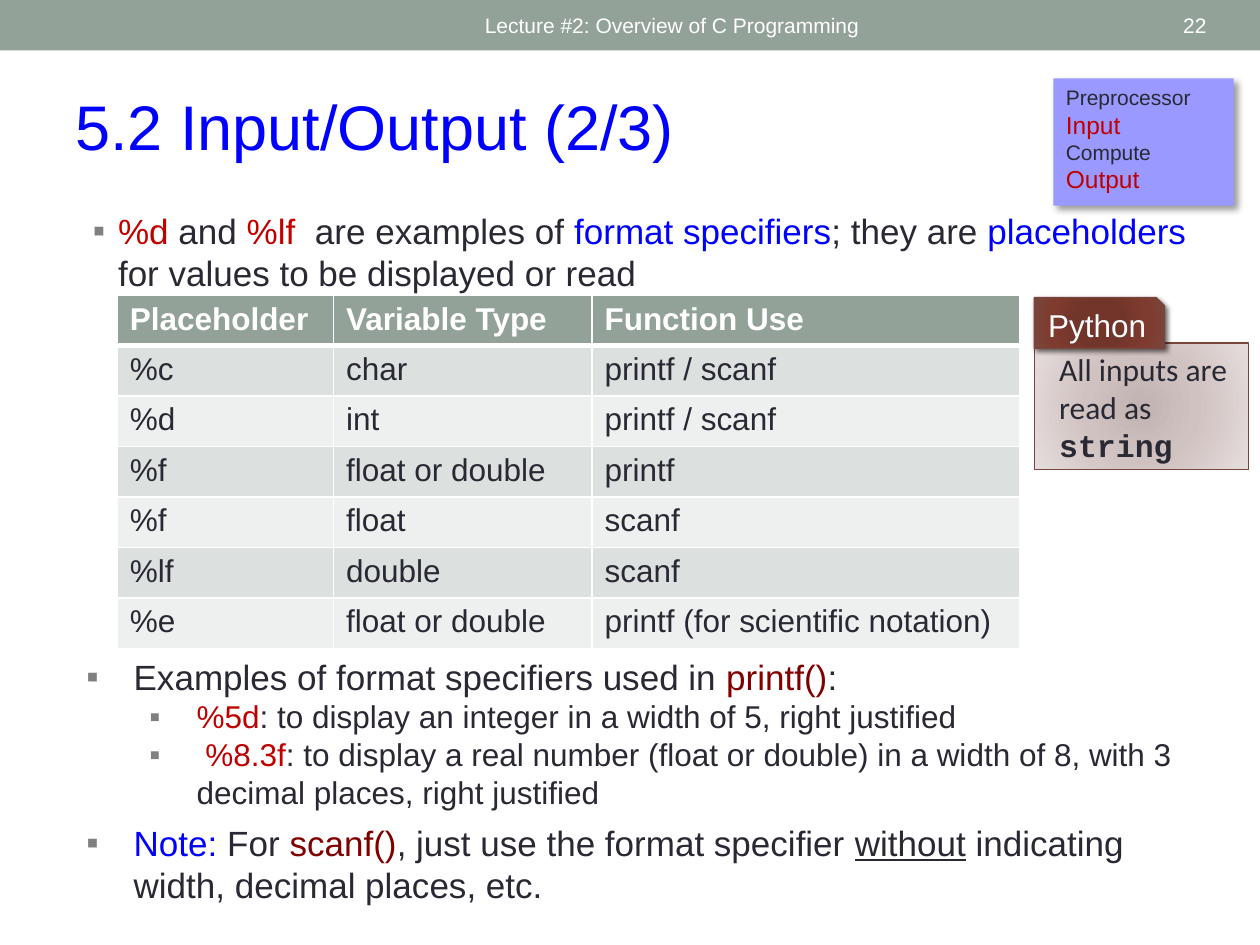
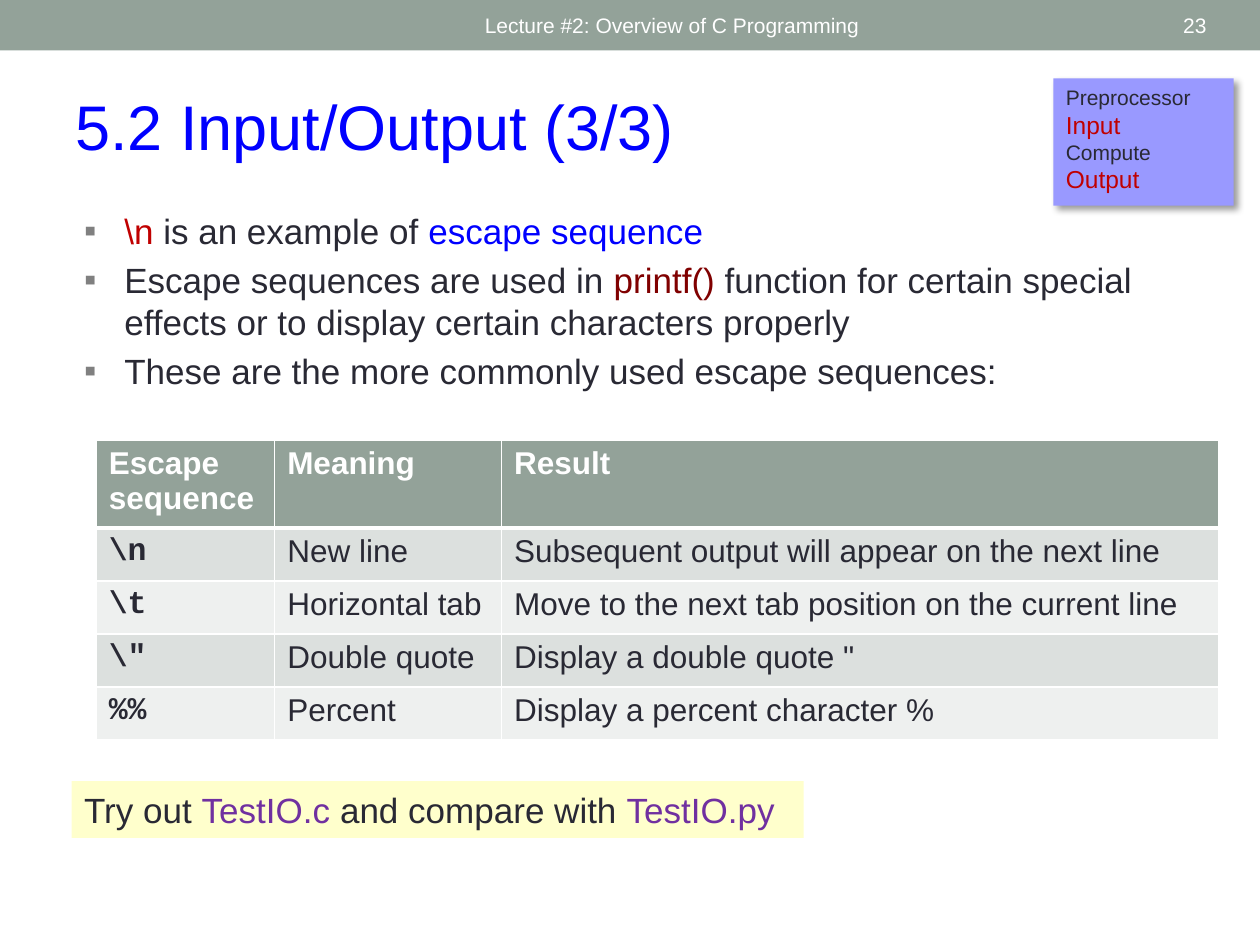
import pptx
import pptx.dml.color
import pptx.enum.shapes
import pptx.enum.text
import pptx.oxml
import pptx.oxml.ns
import pptx.util

Pt = pptx.util.Pt
SHAPE = pptx.enum.shapes.MSO_SHAPE
ANCHOR = pptx.enum.text.MSO_ANCHOR
ALIGN = pptx.enum.text.PP_ALIGN

SAGE, WHITE, INK, BLUE = "93A299", "FFFFFF", "292934", "0000FF"
RED, MAROON, PURPLE, BROWN = "C00000", "800000", "7030A0", "79463D"
BANDS = ["DCE0DE", "EEF0EF"]
SANS, MONO = "Arial", "Courier New"


def color(hex_code):
    return pptx.dml.color.RGBColor.from_string(hex_code)


def xml(markup):
    head, tail = markup.split(">", 1) if "/>" not in markup.split(">", 1)[0] + ">" else (markup[:-2], "")
    if not tail:
        return pptx.oxml.parse_xml(f"{head} {pptx.oxml.ns.nsdecls('a')}/>")
    return pptx.oxml.parse_xml(f"{head} {pptx.oxml.ns.nsdecls('a')}>{tail}")


def write(para, spans, size, font=SANS, bold=None):
    para.font.size, para.font.name, para.font.bold = Pt(size), font, bold
    for text, hex_code, *style in spans:
        span = para.add_run()
        span.text = text
        span.font.color.rgb = color(hex_code)
        if "mono" in style:
            span.font.name, span.font.bold = MONO, True
        if "underline" in style:
            span.font.underline = True


def set_bullet(para, left, hanging):
    props = para._p.get_or_add_pPr()
    props.set("marL", str(Pt(left)))
    props.set("indent", str(-Pt(hanging)))
    props.append(xml('<a:buClr><a:srgbClr val="808080"/></a:buClr>'))
    props.append(xml('<a:buFont typeface="Arial"/>'))
    props.append(xml('<a:buChar char="▪"/>'))


def paragraphs(frame, count):
    return [frame.paragraphs[0]] + [frame.add_paragraph() for _ in range(count - 1)]


def add_text(page, at, spans, size, anchor=ANCHOR.TOP, align=ALIGN.LEFT):
    box = page.shapes.add_textbox(*map(Pt, at))
    frame = box.text_frame
    frame.word_wrap, frame.vertical_anchor = True, anchor
    frame.paragraphs[0].alignment = align
    write(frame.paragraphs[0], spans, size)


def add_bullets(page, at, items):
    frame = page.shapes.add_textbox(*map(Pt, at)).text_frame
    frame.word_wrap = True
    for para, (size, before, left, hanging, spans) in zip(paragraphs(frame, len(items)), items):
        para.space_before = Pt(before)
        set_bullet(para, left, hanging)
        write(para, spans, size)


def add_panel(page, at, fill, lines, kind=SHAPE.RECTANGLE, anchor=ANCHOR.TOP, align=ALIGN.LEFT, font=SANS):
    panel = page.shapes.add_shape(kind, *map(Pt, at))
    panel.shadow.inherit = False
    panel.fill.solid()
    panel.fill.fore_color.rgb = color(fill)
    panel.line.fill.background()
    frame = panel.text_frame
    frame.word_wrap, frame.vertical_anchor = True, anchor
    for para, (size, spans) in zip(paragraphs(frame, len(lines)), lines):
        para.alignment = align
        write(para, spans, size, font)
    return panel


def add_shadow(panel, alpha, blur, distance):
    panel._element.spPr.find(pptx.oxml.ns.qn("a:effectLst")).append(xml(
        f'<a:outerShdw blurRad="{Pt(blur)}" dist="{Pt(distance)}" dir="2700000" algn="tl" rotWithShape="0">'
        f'<a:srgbClr val="000000"><a:alpha val="{alpha * 1000}"/></a:srgbClr></a:outerShdw>'))


def add_glow(panel, stops):
    marks = "".join(f'<a:gs pos="{place * 1000}"><a:srgbClr val="{shade}"/></a:gs>' for place, shade in stops)
    gradient = xml(f'<a:gradFill><a:gsLst>{marks}</a:gsLst><a:path path="circle">'
                   '<a:fillToRect l="100000" t="100000" r="100000" b="100000"/></a:path></a:gradFill>')
    props = panel._element.spPr
    props.replace(props.find(pptx.oxml.ns.qn("a:solidFill")), gradient)
    panel.line.color.rgb = color(BROWN)
    panel.line.width = Pt(0.75)


def set_borders(cell, top, bottom):
    props = cell._tc.get_or_add_tcPr()
    for place, (side, width) in enumerate([("L", 1), ("R", 1), ("T", top), ("B", bottom)]):
        props.insert(place, xml(f'<a:ln{side} w="{Pt(width)}"><a:solidFill><a:srgbClr val="{WHITE}"/>'
                                f'</a:solidFill></a:ln{side}>'))


def add_grid(page, left, top, widths, heights, rows, code_column=False):
    frame = page.shapes.add_table(len(rows), len(widths), Pt(left), Pt(top), Pt(sum(widths)), Pt(sum(heights)))
    table = frame.table
    for column, width in zip(table.columns, widths):
        column.width = Pt(width)
    for number, (row, height, texts) in enumerate(zip(table.rows, heights, rows)):
        row.height = Pt(height)
        header = number == 0
        for place, (cell, text) in enumerate(zip(row.cells, texts)):
            cell.fill.solid()
            cell.fill.fore_color.rgb = color(SAGE if header else BANDS[(number - 1) % 2])
            set_borders(cell, 3 if number == 1 else 1, 3 if header else 1)
            code = code_column and place == 0 and not header
            write(cell.text_frame.paragraphs[0], [(text, WHITE if header else INK)], 18,
                  MONO if code else SANS, header or code)


def add_page(deck, number, title):
    page = deck.slides.add_slide(deck.slide_layouts[6])
    add_panel(page, (0, 0, 720, 28.8), SAGE, [])
    add_text(page, (270, 1.5, 324, 26), [("Lecture #2: Overview of C Programming", WHITE)], 12, ANCHOR.MIDDLE)
    add_text(page, (36, 46, 669, 51), [(title, BLUE)], 36, ANCHOR.BOTTOM)
    add_text(page, (628, 1.5, 68.5, 26), [(str(number), WHITE)], 12, ANCHOR.MIDDLE, ALIGN.RIGHT)
    steps = [(12, INK, "Preprocessor"), (14, RED, "Input"), (12, INK, "Compute"), (14, RED, "Output")]
    panel = add_panel(page, (602, 44.8, 103, 72.7), "9999FF",
                      [(size, [(text, shade)]) for size, shade, text in steps])
    add_shadow(panel, 40, 4, 3)
    return page


def add_python_note(page):
    note = add_panel(page, (591, 196, 122.5, 72.5), "D0C2C0",
                     [(18, [("All inputs are read as ", INK), ("string", INK, "mono")])],
                     anchor=ANCHOR.BOTTOM, font="Calibri")
    note.text_frame.paragraphs[0]._p.get_or_add_pPr().set("marL", str(Pt(7.2)))
    add_glow(note, [(0, "C0B3B1"), (45, "D0C2C0"), (100, "E5DEDD")])
    tab = add_panel(page, (591, 170, 74.5, 29), BROWN, [(18, [("Python", WHITE)])],
                    SHAPE.SNIP_1_RECTANGLE, ANCHOR.MIDDLE, ALIGN.CENTER)
    add_glow(tab, [(0, "743327"), (34, "72352A"), (70, "7F3B2F"), (100, BROWN)])
    add_shadow(tab, 60, 3, 2)


def build_placeholders(deck):
    page = add_page(deck, 22, "5.2 Input/Output (2/3)")
    add_bullets(page, (46, 116, 648, 56), [
        (20, 4, 14.4, 14.4, [
            ("%d ", RED), ("and", INK), (" %lf  ", RED), ("are examples of ", INK), ("format specifiers", BLUE),
            ("; they are ", INK), ("placeholders ", BLUE), ("for values to be displayed or read", INK)])])
    add_grid(page, 67, 168.7, [123.6, 147.7, 244.2], [27.3] * 7, [
        ("Placeholder", "Variable Type", "Function Use"),
        ("%c", "char", "printf / scanf"),
        ("%d", "int", "printf / scanf"),
        ("%f", "float or double", "printf"),
        ("%f", "float", "scanf"),
        ("%lf", "double", "scanf"),
        ("%e", "float or double", "printf (for scientific notation)")])
    add_bullets(page, (42.3, 371, 648, 150), [
        (20, 4, 27, 27, [("Examples of format specifiers used in ", INK), ("printf()", MAROON), (":", INK)]),
        (18, 0, 63, 27, [("%5d", RED), (": to display an integer in a width of 5, right justified", INK)]),
        (18, 0, 63, 27, [
            (" %8.3f", RED),
            (": to display a real number (float or double) in a width of 8, with 3 decimal places, right justified",
             INK)]),
        (20, 6, 27, 27, [
            ("Note: ", BLUE), ("For ", INK), ("scanf()", MAROON), (", just use the format specifier ", INK),
            ("without", INK, "underline"), (" indicating width, decimal places, etc.", INK)])])
    add_python_note(page)


def build_escapes(deck):
    page = add_page(deck, 23, "5.2 Input/Output (3/3)")
    points = [
        [("\\n ", RED), ("is an example of ", INK), ("escape sequence", BLUE)],
        [("Escape sequences are used in ", INK), ("printf() ", MAROON),
         ("function for certain special effects or to display certain characters properly", INK)],
        [("These are the more commonly used escape sequences:", INK)]]
    add_bullets(page, (41, 116, 648, 127.5), [(20, 4, 23, 23, spans) for spans in points])
    add_grid(page, 55, 251.3, [102, 129.6, 409.7], [46.5] + [30.3] * 4, [
        ("Escape sequence", "Meaning", "Result"),
        ("\\n", "New line", "Subsequent output will appear on the next line"),
        ("\\t", "Horizontal tab", "Move to the next tab position on the current line"),
        ('\\"', "Double quote", 'Display a double quote "'),
        ("%%", "Percent", "Display a percent character %")], code_column=True)
    add_panel(page, (41, 446.4, 418.3, 32.4), "FFFFCC", [
        (20, [("Try out ", INK), ("TestIO.c ", PURPLE), ("and compare with ", INK), ("TestIO.py", PURPLE)])],
        anchor=ANCHOR.MIDDLE)


def main():
    deck = pptx.Presentation()
    deck.slide_width, deck.slide_height = Pt(720), Pt(540)
    build_placeholders(deck)
    build_escapes(deck)
    deck.save("out.pptx")


if __name__ == "__main__":
    main()
